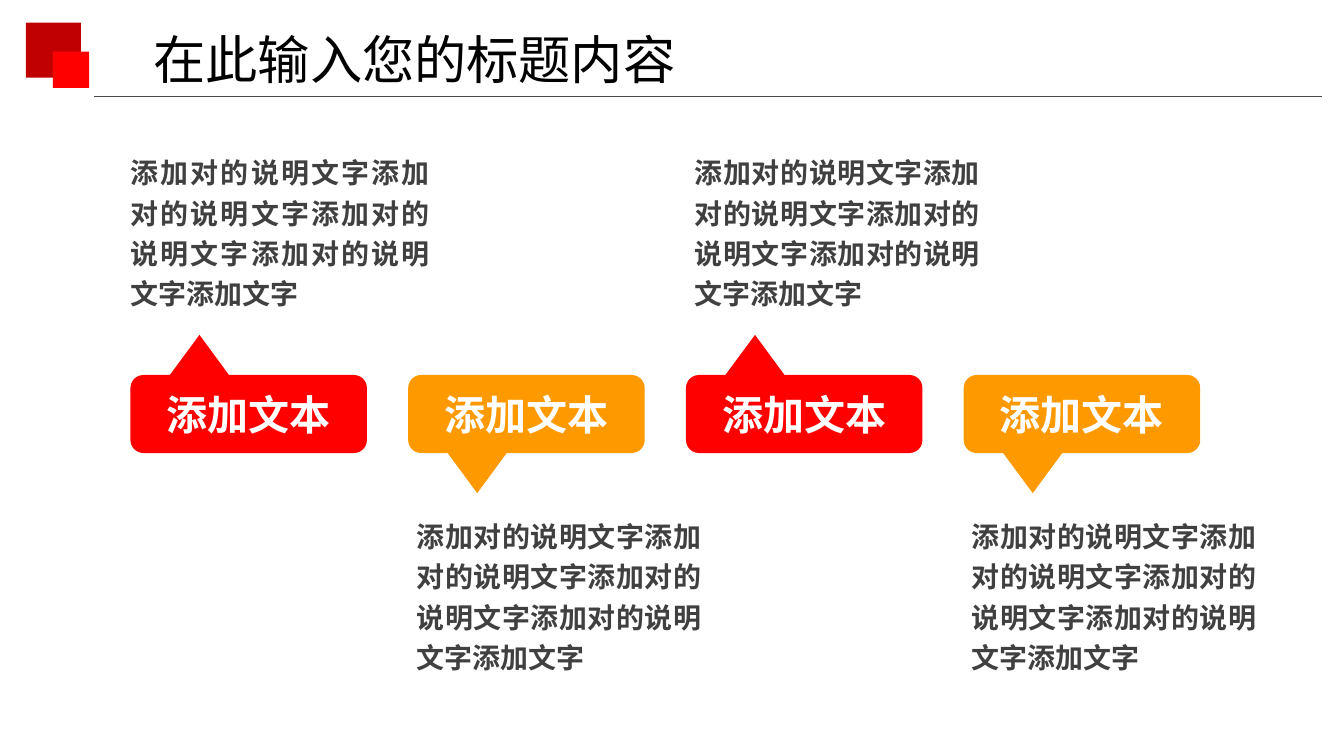
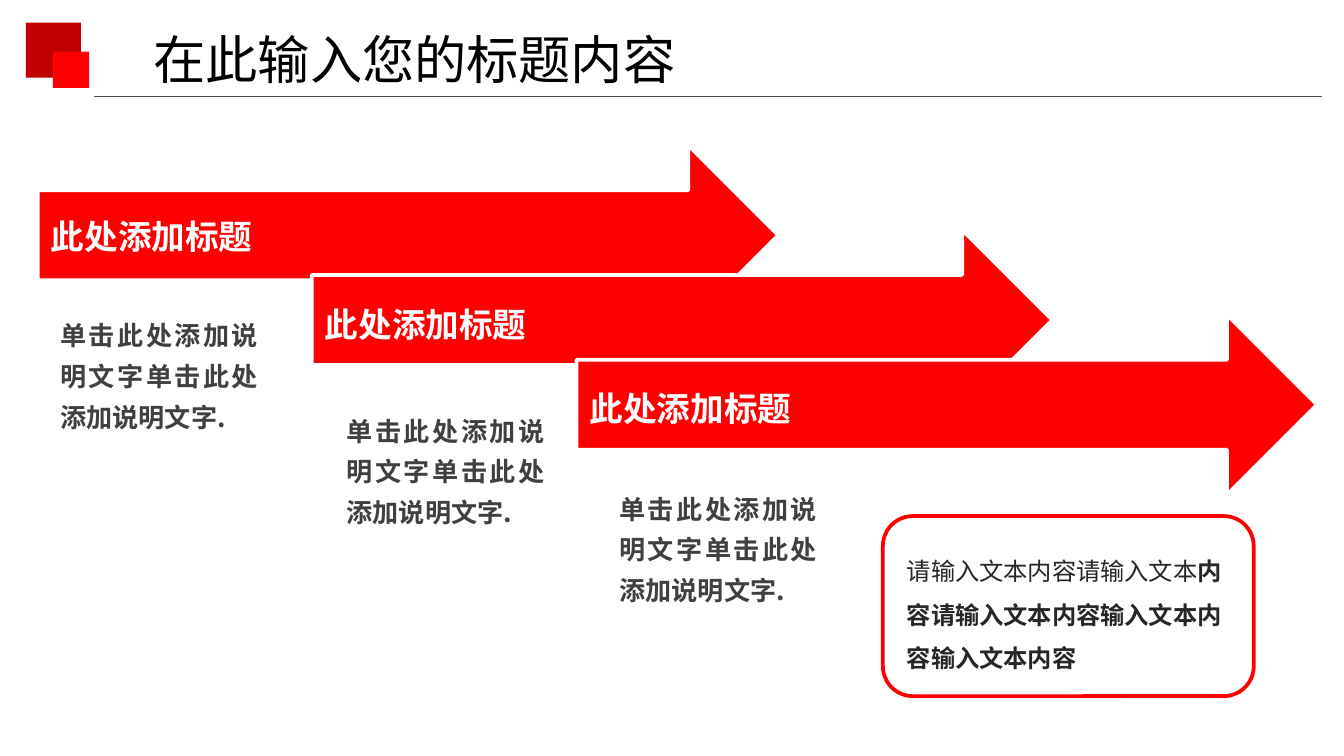
import math

import lxml.etree
import pptx
import pptx.dml.color
import pptx.enum.shapes
import pptx.enum.text
import pptx.oxml.ns
import pptx.util

Pt = pptx.util.Pt
SHAPE = pptx.enum.shapes.MSO_SHAPE
ALIGN = pptx.enum.text.PP_ALIGN
ANCHOR = pptx.enum.text.MSO_ANCHOR
AUTO = pptx.enum.text.MSO_AUTO_SIZE
RGB = pptx.dml.color.RGBColor.from_string
qn = pptx.oxml.ns.qn

FONT = "Noto Sans CJK SC"
COLOURS = {
    "dark red": "C00000", "red": "FF0000", "orange": "FF9900",
    "rule": "4D4948", "black": "000000", "white": "FFFFFF",
    "body": "404040", "note": "262626",
}


def write(holder, *texts, size, colour, bold=(True,), align=ALIGN.LEFT,
          anchor=ANCHOR.TOP, insets=(7.2, 3.6, 7.2, 3.6), spacing=None,
          after=None, grow=False):
    """Write one paragraph; each text is a run with its own bold setting."""
    frame = holder.text_frame
    frame.word_wrap = True
    frame.auto_size = AUTO.SHAPE_TO_FIT_TEXT if grow else AUTO.NONE
    frame.vertical_anchor = anchor
    (frame.margin_left, frame.margin_top,
     frame.margin_right, frame.margin_bottom) = [Pt(inset) for inset in insets]
    paragraph = frame.paragraphs[0]
    paragraph.alignment = align
    paragraph.space_before = Pt(0)
    if spacing:
        paragraph.line_spacing = spacing
    if after:
        paragraph.space_after = Pt(after)
    for text, heavy in zip(texts, bold):
        run = paragraph.add_run()
        run.text = text
        run.font.size = Pt(size)
        run.font.bold = heavy
        run.font.color.rgb = RGB(COLOURS[colour])
        run.font.name = FONT
        east_asian = lxml.etree.SubElement(run.font._element, qn("a:ea"))
        east_asian.set("typeface", FONT)


def paint(shape, fill=None, line=None):
    """Set fill and outline, and drop the shadow."""
    shape.shadow.inherit = False
    if fill:
        shape.fill.solid()
        shape.fill.fore_color.rgb = RGB(COLOURS[fill])
    else:
        shape.fill.background()
    if line:
        shape.line.color.rgb = RGB(COLOURS[line])
        shape.line.width = Pt(2)
    else:
        shape.line.fill.background()


deck = pptx.Presentation()
deck.slide_width, deck.slide_height = Pt(720), Pt(405)

# Shared header: two squares, a rule and the title
for _ in range(2):
    slide = deck.slides.add_slide(deck.slide_layouts[5])
    for left, top, side, colour in [(13.9, 12.1, 29.5, "dark red"),
                                    (28.3, 27.7, 19.5, "red")]:
        square = slide.shapes.add_shape(SHAPE.RECTANGLE, Pt(left), Pt(top),
                                        Pt(side), Pt(side))
        paint(square, colour)
    rule = slide.shapes.add_connector(pptx.enum.shapes.MSO_CONNECTOR.STRAIGHT,
                                      Pt(708), Pt(51.7), Pt(50.4), Pt(51.7))
    rule.line.color.rgb = RGB(COLOURS["rule"])
    rule.line.width = Pt(0.75)
    lxml.etree.SubElement(rule._element.spPr, qn("a:effectLst"))
    title = slide.shapes.title
    title.left, title.top = Pt(75), Pt(10.8)
    title.width, title.height = Pt(305), Pt(41)
    write(title, "在此输入您的标题内容", size=28, colour="black",
          bold=(False,), grow=True)

callouts, steps = deck.slides

# Slide 1: callouts pointing alternately up and down
LABEL_W, LABEL_H, LABEL_TOP = 126.7, 41.8, 200.9
RADIUS = LABEL_H / 6
TIP_REACH = 1.014
captions = [(65.5, 169.2), (219, 161.3), (368, 161.3), (516.2, 161.3)]
for index, (caption_left, caption_width) in enumerate(captions):
    left = 69.9 + 148.8 * index
    points_up = index % 2 == 0
    if points_up:
        # Tail first, then the four rounded corners, clockwise
        right, bottom = left + LABEL_W, LABEL_TOP + LABEL_H
        tip = LABEL_TOP + LABEL_H * (0.5 - TIP_REACH)
        outline = [(left + LABEL_W * 5 / 12, LABEL_TOP)]
        corners = [(right - RADIUS, LABEL_TOP + RADIUS, -90),
                   (right - RADIUS, bottom - RADIUS, 0),
                   (left + RADIUS, bottom - RADIUS, 90),
                   (left + RADIUS, LABEL_TOP + RADIUS, 180)]
        for x, y, start in corners:
            for degrees in range(start, start + 91, 15):
                angle = math.radians(degrees)
                outline.append((x + RADIUS * math.cos(angle),
                                y + RADIUS * math.sin(angle)))
        outline.append((left + LABEL_W / 6, LABEL_TOP))
        builder = callouts.shapes.build_freeform(
            Pt(left + LABEL_W * 0.292), Pt(tip))
        builder.add_line_segments([(Pt(x), Pt(y)) for x, y in outline])
        label = builder.convert_to_shape()
    else:
        label = callouts.shapes.add_shape(
            SHAPE.ROUNDED_RECTANGULAR_CALLOUT, Pt(left), Pt(LABEL_TOP),
            Pt(LABEL_W), Pt(LABEL_H))
        label.adjustments[0] = -0.208
        label.adjustments[1] = TIP_REACH
    paint(label, "red" if points_up else "orange")
    write(label, "添加文本", size=22, colour="white", align=ALIGN.CENTER,
          anchor=ANCHOR.MIDDLE, insets=(8, 25 if points_up else 4, 8, 4))

    caption_top, caption_height = (72, 102.2) if points_up else (263.5, 108.7)
    caption = callouts.shapes.add_textbox(Pt(caption_left), Pt(caption_top),
                                          Pt(caption_width), Pt(caption_height))
    write(caption, "添加对的说明文字" * 4 + "添加文字", size=15, colour="body",
          align=ALIGN.JUSTIFY, anchor=ANCHOR.MIDDLE, insets=(4.3,) * 4,
          spacing=1.2, after=6.6)

# Slide 2: three overlapping arrows, each with a heading and a caption
arrow_rows = [(20.2, 112.3, 25.2, 162.7),
              (167, 159.1, 178.6, 213.8),
              (308.9, 204.5, 324.7, 255.6)]
for index, (left, heading_top, caption_left, caption_top) in enumerate(arrow_rows):
    arrow = steps.shapes.add_shape(SHAPE.RIGHT_ARROW, Pt(left),
                                   Pt(77.8 + 45.4 * index), Pt(396.7), Pt(96.5))
    paint(arrow, "red", line="white")
    heading = steps.shapes.add_textbox(Pt(left), Pt(heading_top), Pt(136), Pt(28.8))
    write(heading, "此处添加标题", size=18, colour="white", grow=True)
    caption = steps.shapes.add_textbox(Pt(caption_left), Pt(caption_top),
                                       Pt(120.2), Pt(73.4))
    write(caption, "单击此处添加说明文字" * 2 + ".", size=14, colour="body",
          align=ALIGN.JUSTIFY, spacing=1.3, after=6, grow=True)

# Slide 2: framed note
note_frame = steps.shapes.add_shape(SHAPE.ROUNDED_RECTANGLE, Pt(473), Pt(276.5),
                                    Pt(198.7), Pt(96.5))
paint(note_frame, line="red")
note = steps.shapes.add_textbox(Pt(478.8), Pt(286.6), Pt(187.2), Pt(75.6))
write(note, "请输入文本内容请输入文本", "内容请输入文本内容输入文本内容输入文本内容",
      size=13, colour="note", bold=(False, True), spacing=1.5, grow=True)

deck.save("out.pptx")
